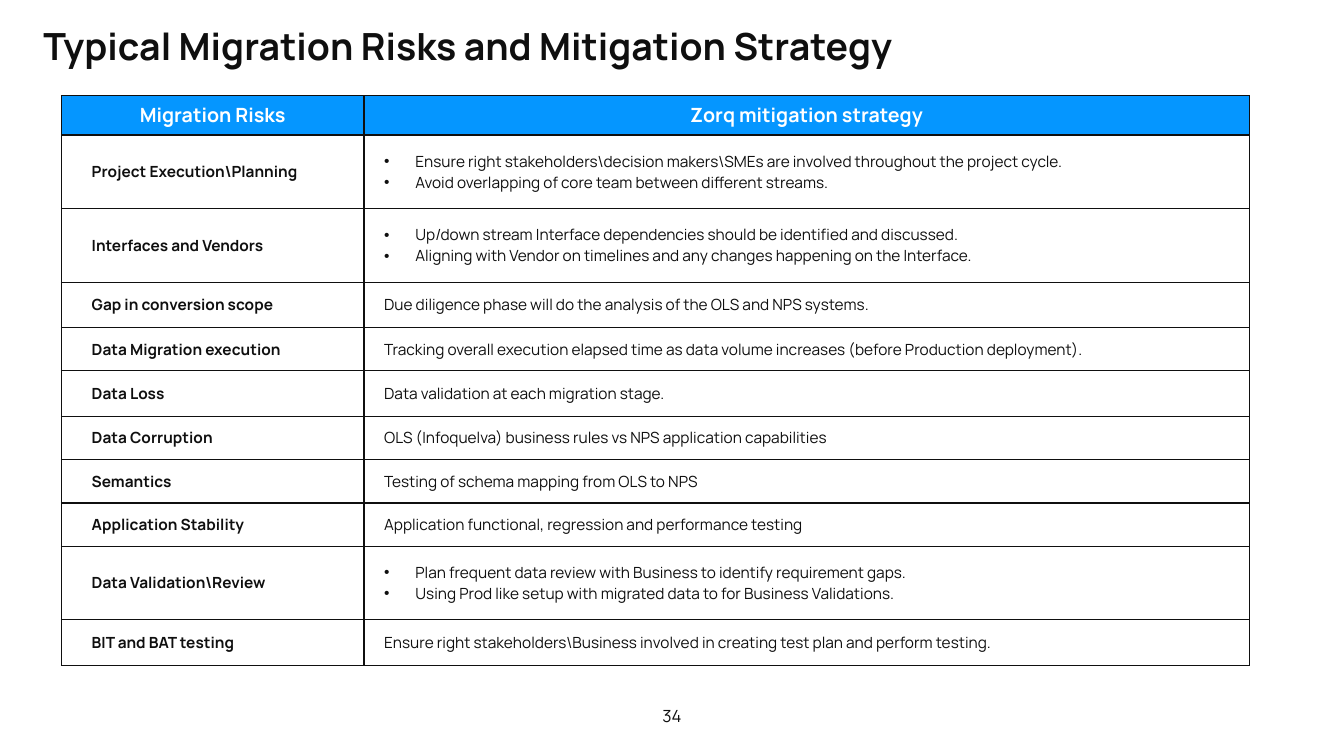
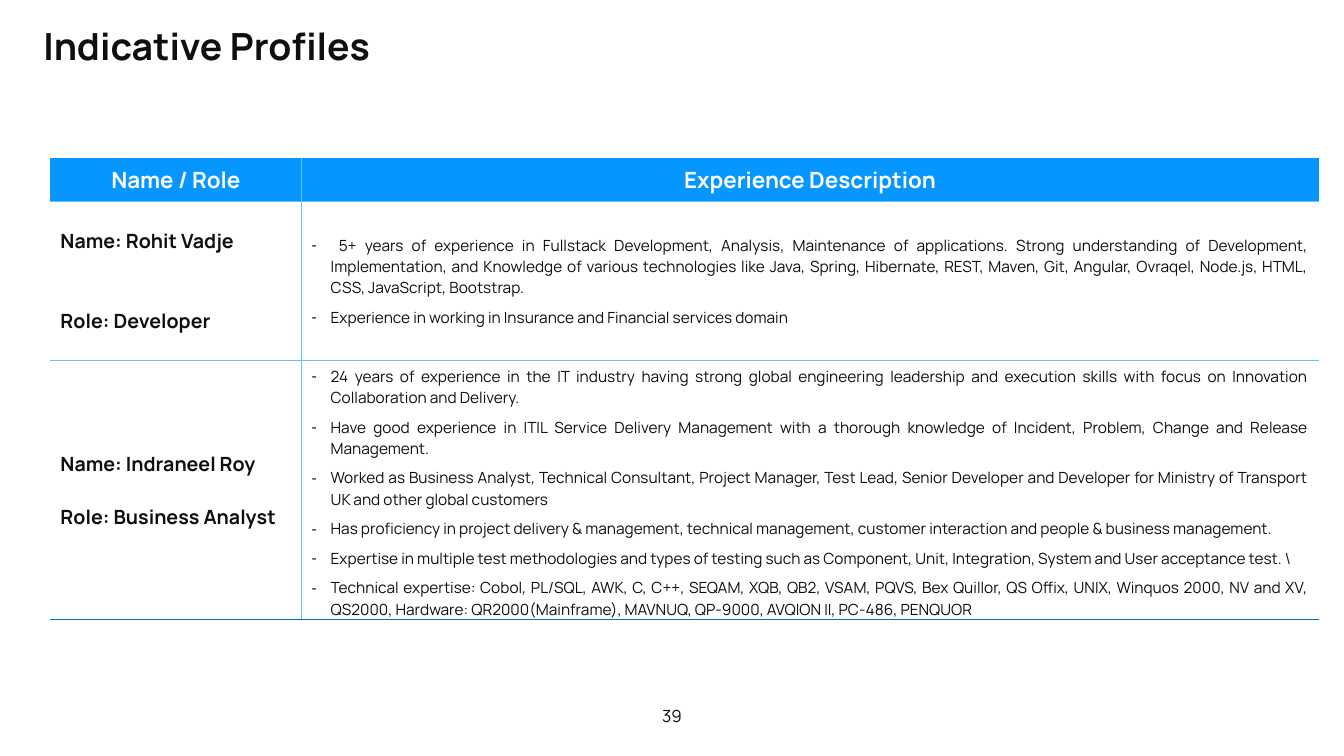
from lxml.etree import SubElement as Sub
from pptx import Presentation
from pptx.dml.color import RGBColor as RGB
from pptx.enum.text import MSO_ANCHOR as Anchor, MSO_AUTO_SIZE as Fit, PP_ALIGN as Align
from pptx.oxml.ns import qn
from pptx.util import Inches as In, Pt

# Shared look
FONT = "Manrope"
INK, BLUE, SKY, NAVY, WHITE = "0F0F0F", "0596FF", "69C0FF", "0070C0", "FFFFFF"
W, H = In(13.33), In(7.5)


def write(frame, lines, size=11, color=INK, bold=False, align=Align.LEFT,
          left=0, hang=0, mark="", pad=0, gap=0):
    """Fill a text frame, one paragraph a line; gap is the space between lines."""
    frame.word_wrap = True
    for i, line in enumerate(lines):
        para = frame.paragraphs[0] if i == 0 else frame.add_paragraph()
        para.alignment = align
        para.line_spacing = 1.0
        para.space_before = Pt(gap if i and gap else pad)
        para.space_after = Pt(pad)
        run = para.add_run()
        run.text = line
        font = run.font
        font.name, font.size, font.bold = FONT, Pt(size), bold
        font.color.rgb = RGB.from_string(color)
        props = para._p.get_or_add_pPr()
        props.set("marL", str(In(left)))
        props.set("indent", str(In(-hang)))
        if mark:
            Sub(props, qn("a:buFont"), typeface="Arial")
            Sub(props, qn("a:buChar"), char=mark)


def edge(cell, sides):
    """Draw the cell borders, given as colours for left, right, top, bottom."""
    props = cell._tc.get_or_add_tcPr()
    for side, color in zip("LRTB", sides):
        line = Sub(props, qn("a:ln" + side), w=str(Pt(1)))
        if color:
            Sub(Sub(line, qn("a:solidFill")), qn("a:srgbClr"), val=color)
        else:
            Sub(line, qn("a:noFill"))


# Table wording: name cell, description cell
risks = [
    (["Migration Risks"], ["Zorq mitigation strategy"]),
    (["Project Execution\\Planning"],
     ["Ensure right stakeholders\\decision makers\\SMEs are involved throughout the project cycle.",
      "Avoid overlapping of core team between different streams."]),
    (["Interfaces and Vendors"],
     ["Up/down stream Interface dependencies should be identified and discussed.",
      "Aligning with Vendor on timelines and any changes happening on the Interface."]),
    (["Gap in conversion scope"],
     ["Due diligence phase will do the analysis of the OLS and NPS systems."]),
    (["Data Migration execution"],
     ["Tracking overall execution elapsed time as data volume increases "
      "(before Production deployment)."]),
    (["Data Loss"], ["Data validation at each migration stage."]),
    (["Data Corruption"],
     ["OLS (Infoquelva) business rules vs NPS application capabilities"]),
    (["Semantics"], ["Testing of schema mapping from OLS to NPS"]),
    (["Application Stability"],
     ["Application functional, regression and performance testing"]),
    (["Data Validation\\Review"],
     ["Plan frequent data review with Business to identify requirement gaps.",
      "Using Prod like setup with migrated data to for Business Validations."]),
    (["BIT and BAT testing"],
     ["Ensure right stakeholders\\Business involved in creating test plan and perform testing."]),
]
staff = [
    (["Name / Role"], ["Experience Description"]),
    (["Name: Rohit Vadje", "Role: Developer"],
     [" 5+ years of experience in Fullstack Development, Analysis, Maintenance of applications. "
      "Strong understanding of Development, Implementation, and Knowledge of various technologies "
      "like Java, Spring, Hibernate, REST, Maven, Git, Angular, Ovraqel, Node.js, HTML, CSS, "
      "JavaScript, Bootstrap.",
      "Experience in working in Insurance and Financial services domain"]),
    (["Name: Indraneel Roy", "Role: Business Analyst"],
     ["24 years of experience in the IT industry having strong global engineering leadership and "
      "execution skills with focus on Innovation Collaboration and Delivery.",
      "Have good experience in ITIL Service Delivery Management with a thorough knowledge of "
      "Incident, Problem, Change and Release Management.",
      "Worked as Business Analyst, Technical Consultant, Project Manager, Test Lead, Senior "
      "Developer and Developer for Ministry of Transport UK and other global customers",
      "Has proficiency in project delivery & management, technical management, customer "
      "interaction and people & business management.",
      "Expertise in multiple test methodologies and types of testing such as Component, Unit, "
      "Integration, System and User acceptance test. \\",
      "Technical expertise: Cobol, PL/SQL, AWK, C, C++, SEQAM, XQB, QB2, VSAM, PQVS, Bex "
      "Quillor, QS Offix, UNIX, Winquos 2000, NV and XV, QS2000, Hardware: QR2000(Mainframe), "
      "MAVNUQ, QP-9000, AVQION II, PC-486, PENQUOR"]),
]

# One entry a slide: title, number, table place, grid, wording and formats
tall, mid, low = 0.73, 0.45, 0.43
decks = [
    dict(title="Typical Migration Risks and Mitigation Strategy", page="34",
         at=(0.61, 0.95), cols=[3, 8.78], body=risks, inset=(0, 0),
         rows=[0.39, tall, tall, mid, low, mid, low, low, low, tall, mid],
         outer=INK, inner=INK, base=INK, head=14,
         name=dict(size=11, left=0.3), gaps=[0] * 11,
         item=dict(left=0.51, hang=0.31, mark="•"), lone=dict(left=0.2)),
    dict(title="Indicative Profiles", page="39",
         at=(0.5, 1.57), cols=[2.49, 10.09], body=staff, inset=(0.1, 0.05),
         rows=[0.43, 1.58, 2.57],
         outer=None, inner=SKY, base=NAVY, head=16,
         name=dict(size=14), gaps=[0, 38, 19],
         item=dict(left=0.19, hang=0.19, mark="-", pad=3, align=Align.JUSTIFY), lone={}),
]

deck = Presentation()
deck.slide_width, deck.slide_height = W, H

for d in decks:
    slide = deck.slides.add_slide(deck.slide_layouts[5])

    # Title
    title = slide.shapes.title
    title.left, title.top, title.width, title.height = In(0.33), In(0.18), In(12.51), In(1.07)
    title.text_frame.vertical_anchor = Anchor.TOP
    title.text_frame.auto_size = Fit.NONE
    write(title.text_frame, [d["title"]], size=26.7, bold=True)

    # Page number
    foot = slide.shapes.add_textbox(In(6.35), In(6.95), In(0.63), In(0.3)).text_frame
    foot.vertical_anchor = Anchor.MIDDLE
    write(foot, [d["page"]], size=12, align=Align.CENTER)

    # Table grid
    cols, rows = d["cols"], d["rows"]
    x, y = d["at"]
    grid = slide.shapes.add_table(len(rows), len(cols), In(x), In(y),
                                  In(sum(cols)), In(sum(rows))).table
    for col, wide in zip(grid.columns, cols):
        col.width = In(wide)
    for row, high in zip(grid.rows, rows):
        row.height = In(high)

    # Table cells
    for r, texts in enumerate(d["body"]):
        for c, lines in enumerate(texts):
            cell = grid.cell(r, c)
            out, mesh = d["outer"], d["inner"]
            edge(cell, (mesh if c else out, out if c else mesh, mesh if r else out,
                        d["base"] if r == len(rows) - 1 else mesh))
            cell.fill.solid()
            cell.fill.fore_color.rgb = RGB.from_string(WHITE if r else BLUE)
            cell.vertical_anchor = Anchor.MIDDLE
            side, edges = d["inset"]
            cell.margin_left = cell.margin_right = In(side)
            cell.margin_top = cell.margin_bottom = In(edges)
            if r == 0:
                form = dict(size=d["head"], color=WHITE, bold=True, align=Align.CENTER)
            elif c == 0:
                form = dict(d["name"], bold=True, gap=d["gaps"][r])
            else:
                form = d["item"] if len(lines) > 1 else d["lone"]
            write(cell.text_frame, lines, **form)

deck.save("out.pptx")
